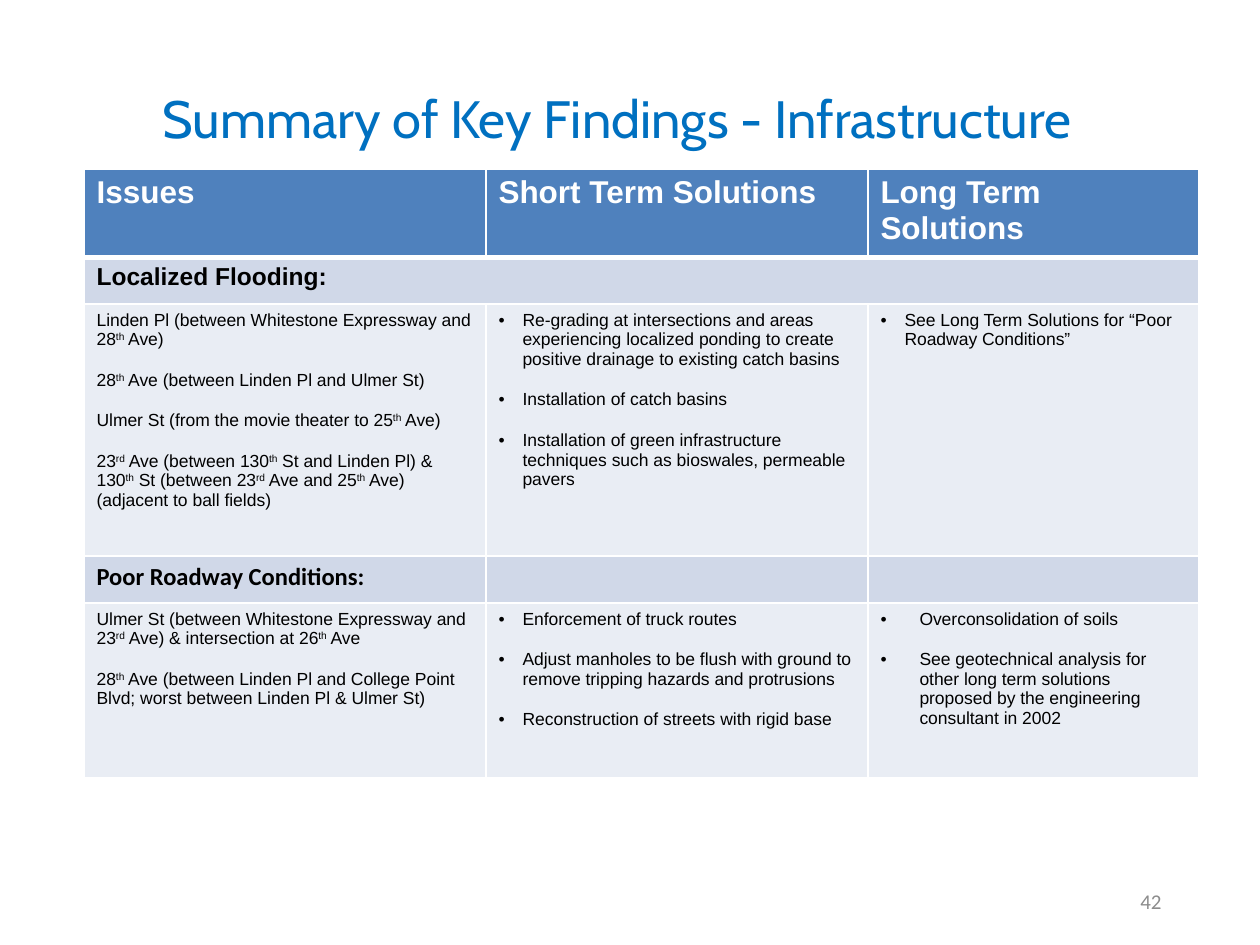
from dataclasses import dataclass

from lxml.etree import SubElement
from pptx import Presentation
from pptx.dml.color import RGBColor
from pptx.enum.text import MSO_ANCHOR, PP_ALIGN
from pptx.oxml.ns import qn
from pptx.util import Emu, Pt

PX = 914400 // 126

TITLE = "Summary of Key Findings - Infrastructure"
PAGE_NUMBER = "42"
HEADINGS = ["Issues", "Short Term Solutions", "Long Term Solutions"]
FLOODING = [
    ["Linden Pl (between Whitestone Expressway and 28^th^ Ave)",
     "28^th^ Ave (between Linden Pl and Ulmer St)",
     "Ulmer St (from the movie theater to 25^th^ Ave)",
     "23^rd^ Ave (between 130^th^ St and Linden Pl) &\n"
     "130^th^ St (between 23^rd^ Ave and 25^th^ Ave)\n"
     "(adjacent to ball fields)"],
    ["Re-grading at intersections and areas experiencing localized ponding "
     "to create positive drainage to existing catch basins",
     "Installation of catch basins",
     "Installation of green infrastructure techniques such as bioswales, permeable pavers"],
    ["See Long Term Solutions for “Poor Roadway Conditions”"],
]
ROADWAY = [
    ["Ulmer St (between Whitestone Expressway and 23^rd^ Ave) & intersection at 26^th^ Ave",
     "28^th^ Ave (between Linden Pl and College Point Blvd; "
     "worst between Linden Pl & Ulmer St)"],
    ["Enforcement of truck routes",
     "Adjust manholes to be flush with ground to remove tripping hazards and protrusions",
     "Reconstruction of streets with rigid base"],
    ["Overconsolidation of soils",
     "See geotechnical analysis for other long term solutions "
     "proposed by the engineering consultant in 2002"],
]
COLUMNS = [402, 382, 331]
ROWS = [83, 47, 252, 47, 175]


@dataclass(frozen=True)
class Theme:
    title: str = "0070C0"
    header: str = "4F81BD"
    band: str = "D0D8E8"
    body: str = "E9EDF4"
    white: str = "FFFFFF"
    black: str = "000000"
    grey: str = "8C8C8C"
    title_size: int = 30
    header_size: int = 18
    band_size: int = 14
    body_size: int = 10
    number_size: int = 12
    gap: int = 12


THEME = Theme()


def px(value):
    return Emu(value * PX)


def style(span, size, color, font="Arial", bold=False):
    span.font.size = Pt(size)
    span.font.name = font
    span.font.bold = bold
    span.font.color.rgb = RGBColor.from_string(color)


def add_label(page, text, place, size, color, font, align):
    box = page.shapes.add_textbox(*map(px, place))
    frame = box.text_frame
    frame.word_wrap = True
    frame.vertical_anchor = MSO_ANCHOR.MIDDLE
    frame.text = text
    para = frame.paragraphs[0]
    para.alignment = align
    style(para.runs[0], size, color, font)
    return para


def set_indent(para, left, hanging=0):
    properties = para._p.get_or_add_pPr()
    properties.set("marL", str(px(left)))
    properties.set("indent", str(px(-hanging)))
    return properties


def paint(cell, color, top=1, bottom=1):
    properties = cell._tc.get_or_add_tcPr()
    for side, width in zip("LRTB", (1, 1, top, bottom)):
        line = SubElement(properties, qn(f"a:ln{side}"), w=str(Pt(width)))
        fill = SubElement(line, qn("a:solidFill"))
        SubElement(fill, qn("a:srgbClr"), val=THEME.white)
    cell.fill.solid()
    cell.fill.fore_color.rgb = RGBColor.from_string(color)


def write_heading(cell, text, size, color, font="Arial"):
    cell.text = text
    style(cell.text_frame.paragraphs[0].runs[0], size, color, font, True)


def write_items(cell, items, hanging):
    frame = cell.text_frame
    para = None
    for item in items:
        for number, line in enumerate(item.split("\n")):
            first = para is None
            para = frame.paragraphs[0] if first else frame.add_paragraph()
            if hanging:
                properties = set_indent(para, hanging, hanging)
                SubElement(properties, qn("a:buFont"), typeface="Arial")
                SubElement(properties, qn("a:buChar"), char="•")
            if number == 0 and not first:
                para.space_before = Pt(THEME.gap)
            for position, part in enumerate(line.split("^")):
                span = para.add_run()
                span.text = part
                style(span, THEME.body_size, THEME.black)
                if position % 2:
                    span._r.get_or_add_rPr().set("baseline", "30000")


def fill_section(table, row, heading, font, content, hangings):
    write_heading(table.cell(row, 0), heading, THEME.band_size, THEME.black, font)
    for column, (items, hanging) in enumerate(zip(content, hangings)):
        band = table.cell(row, column)
        paint(band, THEME.band, top=3 if row == 1 else 1)
        if column:
            SubElement(band.text_frame.paragraphs[0]._p, qn("a:endParaRPr"),
                       sz=str(THEME.band_size * 100))
        body = table.cell(row + 1, column)
        paint(body, THEME.body)
        write_items(body, items, hanging)


def add_findings(page):
    frame = page.shapes.add_table(len(ROWS), len(COLUMNS), px(84), px(169),
                                  px(sum(COLUMNS)), px(sum(ROWS)))
    table = frame.table
    for column, width in zip(table.columns, COLUMNS):
        column.width = px(width)
    for row, height in zip(table.rows, ROWS):
        row.height = px(height)
    for column, text in enumerate(HEADINGS):
        cell = table.cell(0, column)
        paint(cell, THEME.header, bottom=3)
        write_heading(cell, text, THEME.header_size, THEME.white)
    fill_section(table, 1, "Localized Flooding:", "Arial", FLOODING, (0, 24, 24))
    fill_section(table, 3, "Poor Roadway Conditions:", "Calibri", ROADWAY, (0, 24, 39))
    table.cell(1, 0).merge(table.cell(1, 2))


def main():
    deck = Presentation()
    deck.slide_width, deck.slide_height = px(1260), px(945)
    page = deck.slides.add_slide(deck.slide_layouts[6])
    title = add_label(page, TITLE, (63, 38, 1154, 158), THEME.title_size,
                      THEME.title, "Cabin", PP_ALIGN.LEFT)
    set_indent(title, 87)
    add_findings(page)
    add_label(page, PAGE_NUMBER, (890, 876, 284, 50), THEME.number_size,
              THEME.grey, "Calibri", PP_ALIGN.RIGHT)
    deck.save("out.pptx")


if __name__ == "__main__":
    main()
